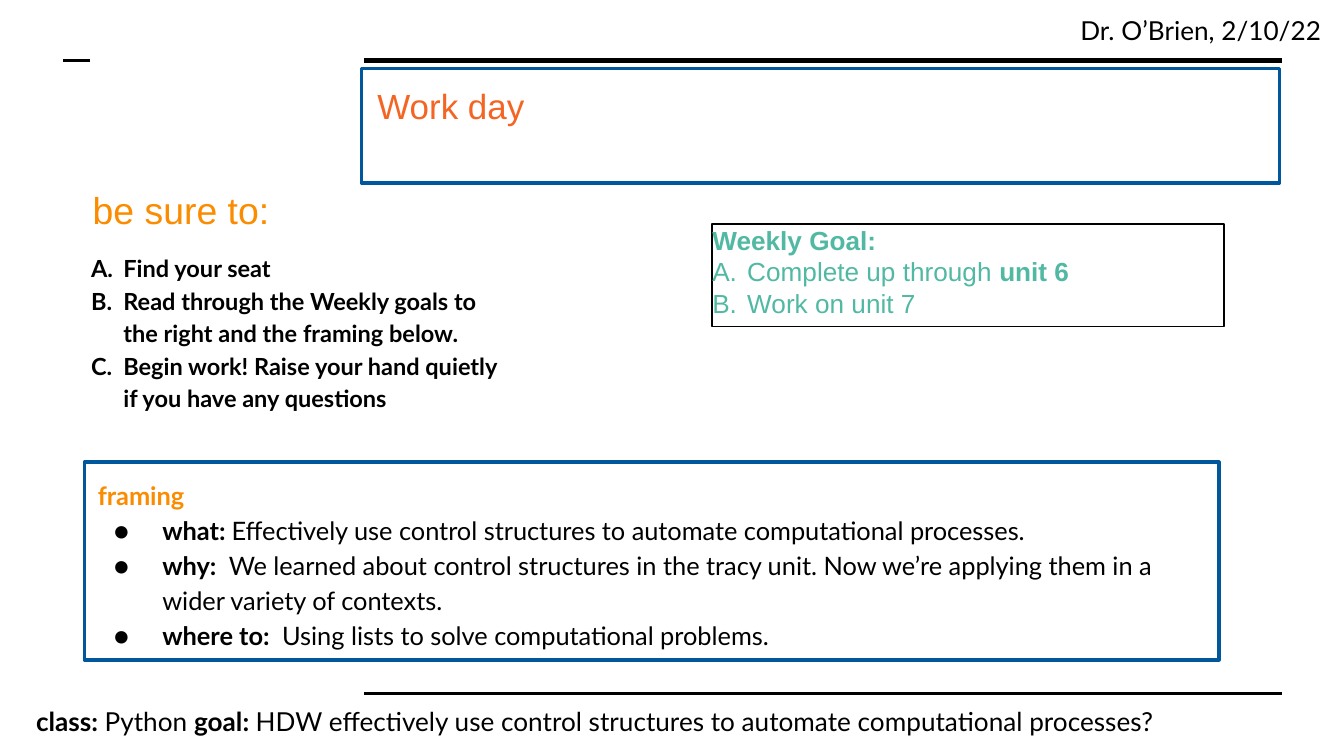
"""Builds a class agenda slide with a title, a to-do list, weekly goals and framing."""
from dataclasses import dataclass

from lxml.etree import SubElement
from pptx import Presentation
from pptx.dml.color import RGBColor
from pptx.enum.shapes import MSO_CONNECTOR, MSO_SHAPE
from pptx.enum.text import MSO_ANCHOR, PP_ALIGN
from pptx.oxml.ns import qn
from pptx.util import Inches, Pt


@dataclass(frozen=True)
class Theme:
    ink: str = "000000"
    paper: str = "FFFFFF"
    frame: str = "01579B"
    title: str = "F46524"
    heading: str = "FB8C00"
    goal: str = "51B9A3"
    sans: str = "Arial"
    body: str = "Lato"
    title_size: float = 18.7
    heading_size: float = 20
    label_size: float = 14
    list_size: float = 12.6
    framing_size: float = 13.6


THEME = Theme()
LETTERS = ("a:buAutoNum", "type", "alphaUcPeriod")
DOTS = ("a:buChar", "char", "●")


def grid(cells):
    """Turn cells of a grid, 100 columns across the slide, into a length."""
    return Inches(cells / 10)


def add_rule(page, left, right, row, weight):
    """Draw a horizontal rule."""
    rule = page.shapes.add_connector(
        MSO_CONNECTOR.STRAIGHT, grid(left), grid(row), grid(right), grid(row))
    rule.line.color.rgb = RGBColor.from_string(THEME.ink)
    rule.line.width = Pt(weight)
    SubElement(rule._element.spPr, qn("a:effectLst"))


def add_panel(page, area, color, weight, fill=None):
    """Draw an outlined rectangle."""
    panel = page.shapes.add_shape(MSO_SHAPE.RECTANGLE, *map(grid, area))
    panel.shadow.inherit = False
    if fill:
        panel.fill.solid()
        panel.fill.fore_color.rgb = RGBColor.from_string(fill)
    else:
        panel.fill.background()
    panel.line.color.rgb = RGBColor.from_string(color)
    panel.line.width = Pt(weight)
    return panel


def add_label(page, area):
    """Add a bare text box."""
    return page.shapes.add_textbox(*map(grid, area))


def set_up_text(box, inset=1, wrap=True):
    """Give a box its insets, wrapping and top anchor."""
    frame = box.text_frame
    frame.word_wrap = wrap
    frame.vertical_anchor = MSO_ANCHOR.TOP
    frame.margin_left = frame.margin_right = grid(inset)
    frame.margin_top = frame.margin_bottom = grid(inset)
    return frame


def add_bullet(para, marker, margin, hang):
    """Give a paragraph a hanging letter or dot."""
    tag, key, value = marker
    properties = para._p.get_or_add_pPr()
    properties.set("marL", str(grid(margin)))
    properties.set("indent", str(-grid(hang)))
    if marker == DOTS:
        color = SubElement(properties, qn("a:buClr"))
        SubElement(color, qn("a:srgbClr"), val=THEME.ink)
        SubElement(properties, qn("a:buFont"), typeface=THEME.body)
    SubElement(properties, qn(tag), {key: value})


def write(frame, spans, font, size, color, spacing=None, bullet=None):
    """Write a paragraph from (text, bold) spans."""
    para = frame.paragraphs[0]
    if para.runs:
        para = frame.add_paragraph()
    para.alignment = PP_ALIGN.LEFT
    if spacing:
        para.line_spacing = spacing
    if bullet:
        add_bullet(para, *bullet)
    for text, bold in spans:
        span = para.add_run()
        span.text = text
        span.font.name = font
        span.font.size = Pt(size)
        span.font.bold = bold
        span.font.color.rgb = RGBColor.from_string(color)


def add_header_and_footer(page):
    """Add the rules, the date line and the class line."""
    add_rule(page, 27.1, 95.4, 4.5, 3)
    add_rule(page, 27.1, 95.4, 51.6, 1.5)
    add_rule(page, 4.7, 6.7, 4.5, 1.5)
    style = THEME.body, THEME.label_size, THEME.ink
    footer = set_up_text(add_label(page, (1.7, 51.5, 93.5, 4.4)))
    write(footer, [
        ("class: ", True), ("Python ", False), ("goal: ", True),
        ("HDW effectively use control structures to automate computational processes?", False),
    ], *style)
    date = set_up_text(add_label(page, (79.4, 0.1, 20.6, 4.4)))
    write(date, [("Dr. O’Brien, 2/10/22", False)], *style)


def add_title(page):
    """Add the framed title."""
    add_panel(page, (26.9, 5.1, 68.3, 8.5), THEME.frame, 2, THEME.paper)
    title = set_up_text(add_label(page, (27.1, 5.3, 68, 8.2)))
    write(title, [("Work day", False)], THEME.sans, THEME.title_size, THEME.title)


def add_weekly_goals(page):
    """Add the panel of weekly goals."""
    goals = set_up_text(add_panel(page, (53, 16.7, 38.1, 7.6), THEME.ink, 1), inset=0)
    style = THEME.sans, THEME.label_size, THEME.goal
    write(goals, [("Weekly Goal:", True)], *style)
    for spans in (
        [("Complete up through ", False), ("unit 6", True)],
        [("Work on unit 7", False)],
    ):
        write(goals, spans, *style, bullet=(LETTERS, 2.6, 2.6))


def add_tasks(page):
    """Add the to-do list and its heading."""
    tasks = set_up_text(add_label(page, (5.8, 17.6, 32.7, 16.3)))
    for task in (
        "Find your seat",
        "Read through the Weekly goals to the right and the framing below.",
        "Begin work! Raise your hand quietly if you have any questions",
    ):
        write(tasks, [(task, True)], THEME.body, THEME.list_size, THEME.ink,
              spacing=1.15, bullet=(LETTERS, 2.4, 2.4))
    heading = set_up_text(add_label(page, (6.9, 13.9, 13.3, 3.3)), inset=0, wrap=False)
    write(heading, [("be sure to:", False)], THEME.sans, THEME.heading_size, THEME.heading)


def add_framing(page):
    """Add the framing panel."""
    framing = set_up_text(add_panel(page, (6.3, 34.4, 84.4, 14.7), THEME.frame, 2))
    style = THEME.body, THEME.framing_size
    write(framing, [("framing", True)], *style, THEME.heading, spacing=1.15)
    for name, detail in (
        ("what: ", "Effectively use control structures to automate computational processes."),
        ("why: ", " We learned about control structures in the tracy unit. "
                  "Now we’re applying them in a wider variety of contexts."),
        ("where to: ", " Using lists to solve computational problems."),
    ):
        write(framing, [(name, True), (detail, False)], *style, THEME.ink,
              spacing=1.15, bullet=(DOTS, 4.8, 3.6))


def main():
    """Build and save the deck."""
    deck = Presentation()
    deck.slide_width, deck.slide_height = grid(100), grid(56.25)
    page = deck.slides.add_slide(deck.slide_layouts[6])
    add_header_and_footer(page)
    add_title(page)
    add_weekly_goals(page)
    add_tasks(page)
    add_framing(page)
    deck.save("out.pptx")


if __name__ == "__main__":
    main()
